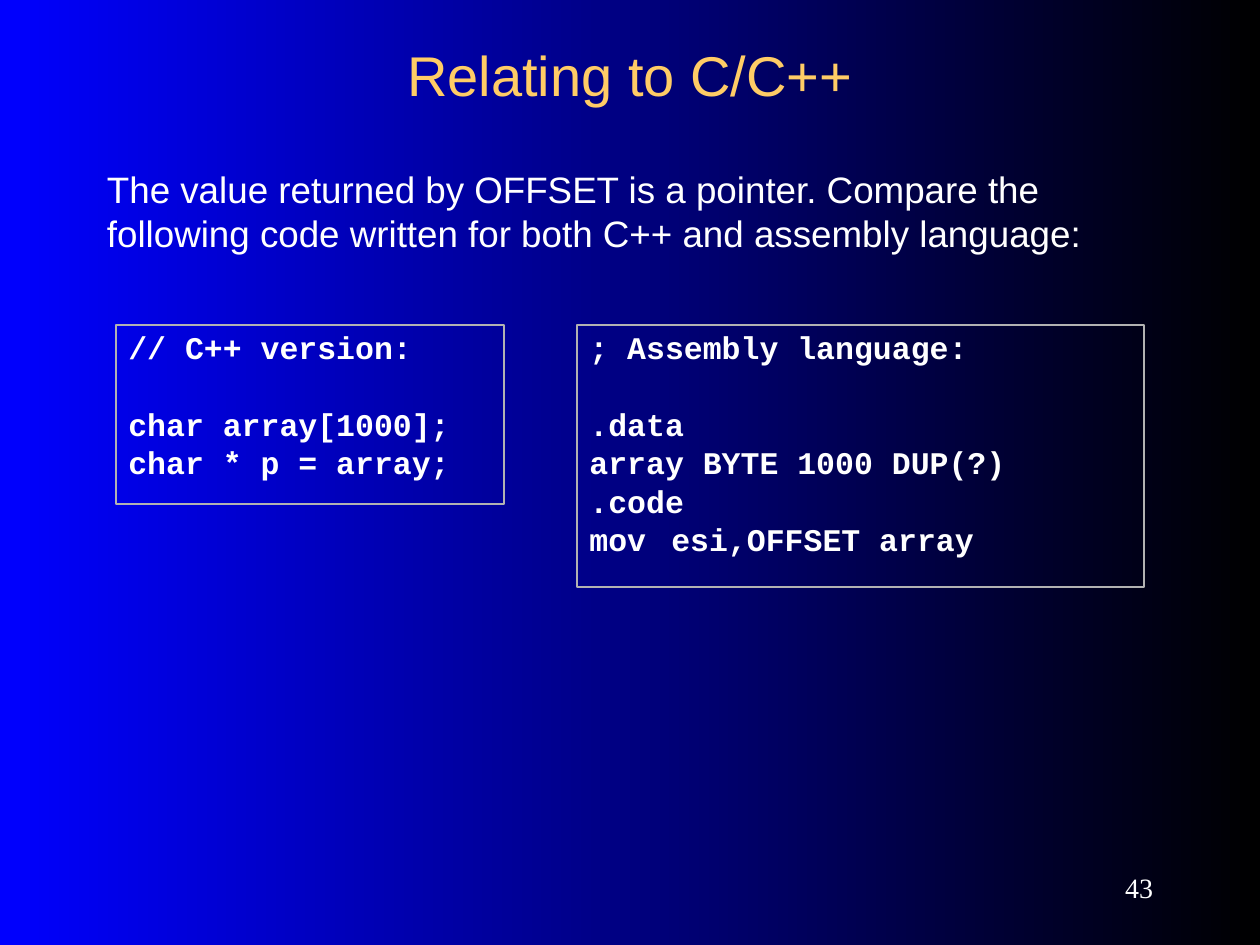
from lxml import etree
from pptx import Presentation
from pptx.dml.color import RGBColor
from pptx.enum.shapes import MSO_SHAPE
from pptx.enum.text import MSO_ANCHOR, MSO_AUTO_SIZE, PP_ALIGN
from pptx.oxml.ns import qn
from pptx.util import Inches, Pt

RECT = MSO_SHAPE.RECTANGLE
TOP, MIDDLE = MSO_ANCHOR.TOP, MSO_ANCHOR.MIDDLE
LEFT, CENTER, RIGHT = PP_ALIGN.LEFT, PP_ALIGN.CENTER, PP_ALIGN.RIGHT
NO_FIT = MSO_AUTO_SIZE.NONE

COLORS = {"dark": "000000", "blue": "0000FF", "title": "FFCC66",
          "text": "FFFFFF", "border": "B2B2B2"}
CODE_GAP = 11.2
CODE_LINE = 22

CPP = [["// C++ version:"],
       ["char array[1000];", "char * p = array;"]]
ASM = [["; Assembly language:"],
       [".data", "array BYTE 1000 DUP(?)", ".code", "mov\t esi,OFFSET array"]]


def color(name):
    return RGBColor.from_string(COLORS[name])


def place(shape, box):
    shape.left, shape.top, shape.width, shape.height = map(Inches, box)


def set_frame(frame, anchor=TOP, above=0.05, below=0.05):
    frame.word_wrap = True
    frame.auto_size = NO_FIT
    frame.vertical_anchor = anchor
    frame.margin_left = frame.margin_right = Inches(0.1)
    frame.margin_top, frame.margin_bottom = Inches(above), Inches(below)


def style(para, font, size, tint="text", align=LEFT, bold=False):
    para.alignment = align
    for run in para.runs:
        run.font.name = font
        run.font.size = Pt(size)
        run.font.bold = bold
        run.font.color.rgb = color(tint)


def add_tab(para, pos):
    tabs = etree.SubElement(para._p.get_or_add_pPr(), qn("a:tabLst"))
    etree.SubElement(tabs, qn("a:tab"), pos=str(Inches(pos)), algn="l")


def paint_back(slide):
    fill = slide.background.fill
    fill.gradient()
    fill.gradient_angle = 180
    for stop, name, pos in zip(fill.gradient_stops, ("dark", "blue"), (0, 1)):
        stop.color.rgb = color(name)
        stop.position = pos


def set_title(slide, box, text):
    title = slide.shapes.title
    place(title, box)
    frame = title.text_frame
    frame.text = text
    set_frame(frame, MIDDLE)
    style(frame.paragraphs[0], "Arial", 32, "title", CENTER)


def add_intro(slide, box, text):
    frame = slide.shapes.add_textbox(*map(Inches, box)).text_frame
    frame.text = text
    set_frame(frame, above=0.15, below=0.15)
    para = frame.paragraphs[0]
    para.space_before = Pt(13.1)
    style(para, "Arial", 21)


def add_code(slide, box, groups):
    """Outlined listing; each group of lines starts one line lower."""
    panel = slide.shapes.add_shape(RECT, *map(Inches, box))
    panel.shadow.inherit = False
    panel.fill.background()
    panel.line.color.rgb = color("border")
    panel.line.width = Pt(0.75)
    frame = panel.text_frame
    frame.text = "\n".join(line for group in groups for line in group)
    set_frame(frame, above=0.15, below=0.25)
    for para in frame.paragraphs:
        para.line_spacing = 0.5
        para.space_before = Pt(CODE_GAP)
        style(para, "Courier New", 18, bold=True)
        add_tab(para, 0.5)
    start = 0
    for group in groups[:-1]:
        start += len(group)
        frame.paragraphs[start].space_before = Pt(CODE_GAP + CODE_LINE)


def add_number(slide, box, text):
    frame = slide.shapes.add_textbox(*map(Inches, box)).text_frame
    frame.text = text
    set_frame(frame, MIDDLE)
    style(frame.paragraphs[0], "Times New Roman", 16, align=RIGHT)


def main():
    prs = Presentation()
    prs.slide_width, prs.slide_height = Inches(10), Inches(7.5)
    slide = prs.slides.add_slide(prs.slide_layouts[5])
    paint_back(slide)
    set_title(slide, (0.75, 0.25, 8.5, 0.67), "Relating to C/C++")
    add_intro(slide, (0.75, 1.17, 8.42, 1),
              "The value returned by OFFSET is a pointer. Compare the "
              "following code written for both C++ and assembly language:")
    add_code(slide, (0.92, 2.58, 3.08, 1.42), CPP)
    add_code(slide, (4.58, 2.58, 4.5, 2.08), ASM)
    add_number(slide, (8.17, 6.83, 1.08, 0.42), "43")
    prs.save("out.pptx")


if __name__ == "__main__":
    main()
